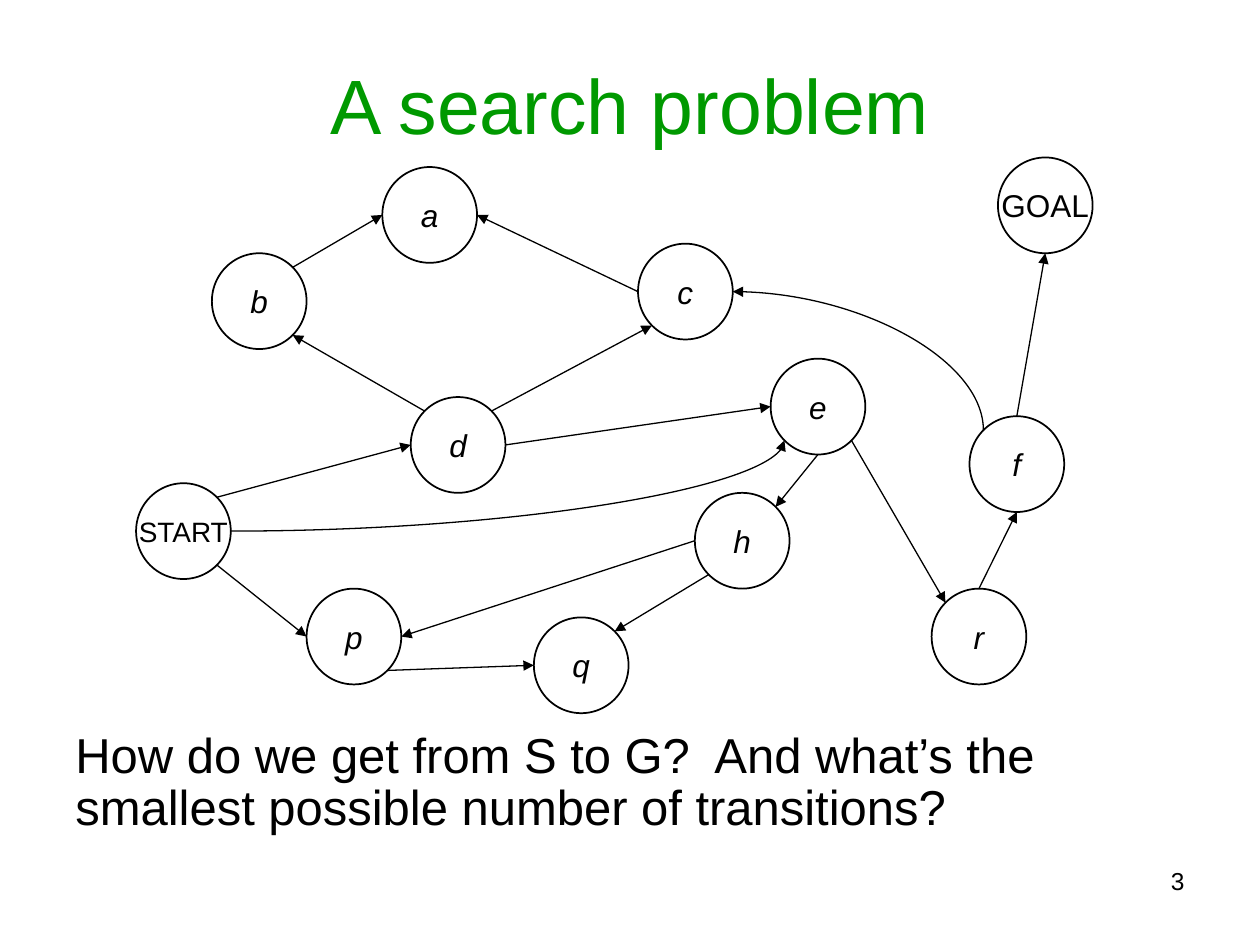
from math import cos, pi, sin

from lxml.etree import SubElement
from pptx import Presentation
from pptx.dml.color import RGBColor
from pptx.enum.shapes import MSO_CONNECTOR, MSO_SHAPE
from pptx.enum.text import MSO_ANCHOR, PP_ALIGN
from pptx.oxml.ns import qn
from pptx.util import Inches, Pt

BLACK = RGBColor(0x00, 0x00, 0x00)
GREEN = RGBColor(0x00, 0x99, 0x00)

# The graph sits on a fine grid; each node is ten units wide and high.
LEFT, TOP = 1.08, 1.25
COL, ROW = 6.84 / 91, 3.65 / 48
NODE = 10

# Connection sites run counterclockwise from the top in steps of 45 degrees.
N, NW, W, SW, S, SE, E, NE = range(8)

# name: (column, row)
NODES = {
    "START": (0, 34), "GOAL": (91, 0), "d": (29, 25), "b": (8, 10),
    "p": (18, 45), "q": (42, 48), "c": (53, 9), "e": (67, 21),
    "h": (59, 35), "a": (26, 1), "f": (88, 27), "r": (84, 45),
}
EDGES = [
    ("START", SE, "p", W), ("p", SE, "q", W), ("h", SW, "q", NE),
    ("h", W, "p", E), ("e", S, "h", NE), ("e", SE, "r", NW),
    ("r", N, "f", S), ("f", N, "GOAL", S), ("START", NE, "d", W),
    ("d", NW, "b", SE), ("b", NE, "a", W), ("c", W, "a", E),
    ("d", NE, "c", SW), ("d", E, "e", W),
]


class SlideBuilder:
    font = "Arial"

    def __init__(self, prs):
        self.prs = prs
        self.slide = prs.slides.add_slide(prs.slide_layouts[6])
        self.graph = self.slide.shapes.add_group_shape()
        self.nodes = {}

    def fill_text(self, tf, text, align=PP_ALIGN.LEFT, spacing=None, **style):
        p = tf.paragraphs[0]
        p.alignment = align
        p.line_spacing = spacing
        r = p.add_run()
        r.text = text
        style = {"name": self.font, **style}
        r.font.color.rgb = style.pop("color", BLACK)
        for name, value in style.items():
            setattr(r.font, name, value)

    def text(self, text, x, y, w, h, anchor=MSO_ANCHOR.TOP, **style):
        """Add a text box placed by shares of the slide's size."""
        width, height = self.prs.slide_width, self.prs.slide_height
        box = self.slide.shapes.add_textbox(
            int(x * width), int(y * height), int(w * width), int(h * height))
        tf = box.text_frame
        tf.word_wrap = True
        tf.vertical_anchor = anchor
        self.fill_text(tf, text, **style)

    def node(self, name, col, row, **style):
        sp = self.graph.shapes.add_shape(
            MSO_SHAPE.FLOWCHART_CONNECTOR,
            Inches(LEFT + col * COL), Inches(TOP + row * ROW),
            Inches(NODE * COL), Inches(NODE * ROW))
        sp.shadow.inherit = False
        sp.fill.background()
        sp.line.color.rgb = BLACK
        sp.line.width = Pt(1)
        tf = sp.text_frame
        tf.word_wrap = False
        tf.vertical_anchor = MSO_ANCHOR.MIDDLE
        self.fill_text(tf, name, PP_ALIGN.CENTER, **style)
        self.nodes[name] = sp

    def site(self, name, index):
        """Return the point of a connection site on a node's rim."""
        sp, angle = self.nodes[name], index * pi / 4
        return (int(sp.left + sp.width * (1 - sin(angle)) / 2),
                int(sp.top + sp.height * (1 - cos(angle)) / 2))

    def connect(self, kind, start, start_site, end, end_site, arrow):
        cx = self.graph.shapes.add_connector(
            kind, *self.site(start, start_site), *self.site(end, end_site))
        cx.line.color.rgb = BLACK
        cx.line.width = Pt(0.75)
        props = cx._element.spPr
        SubElement(props.find(qn("a:ln")), qn(arrow), type="triangle")
        SubElement(props, qn("a:effectLst"))
        return cx

    def edge(self, start, start_site, end, end_site):
        """Add a straight arrow that stays attached to both nodes."""
        cx = self.connect(MSO_CONNECTOR.STRAIGHT, start, start_site,
                          end, end_site, "a:tailEnd")
        props = cx._element.nvCxnSpPr.cNvCxnSpPr
        for tag, name, index in (("a:stCxn", start, start_site),
                                 ("a:endCxn", end, end_site)):
            SubElement(props, qn(tag), id=str(self.nodes[name].shape_id),
                       idx=str(index))

    def curve(self, start, start_site, end, end_site, arrow="a:tailEnd"):
        """Add a quarter curve that leaves its start horizontally."""
        cx = self.connect(MSO_CONNECTOR.CURVE, start, start_site,
                          end, end_site, arrow)
        cx._element.spPr.find(qn("a:prstGeom")).set("prst", "curvedConnector2")


def main():
    prs = Presentation()
    prs.slide_width, prs.slide_height = Inches(10), Inches(7.5)
    s = SlideBuilder(prs)

    s.text("A search problem", 0.05, 0.04, 0.9, 0.14, MSO_ANCHOR.MIDDLE,
           align=PP_ALIGN.CENTER, size=Pt(44), color=GREEN)
    s.text("How do we get from S to G?  And what’s the smallest possible "
           "number of transitions?", 0.05, 5.75 / 7.5, 0.9, 0.13,
           spacing=0.9, size=Pt(28))

    for name, (col, row) in NODES.items():
        s.node(name, col, row, size=Pt(16 if name == "START" else 18),
               italic=len(name) == 1)
    for edge in EDGES:
        s.edge(*edge)
    s.curve("c", E, "f", NW, arrow="a:headEnd")
    s.curve("START", E, "e", SW)

    s.text("3", 0.48, 0.91, 0.47, 0.07, align=PP_ALIGN.RIGHT, size=Pt(14))
    prs.save("out.pptx")


if __name__ == "__main__":
    main()
